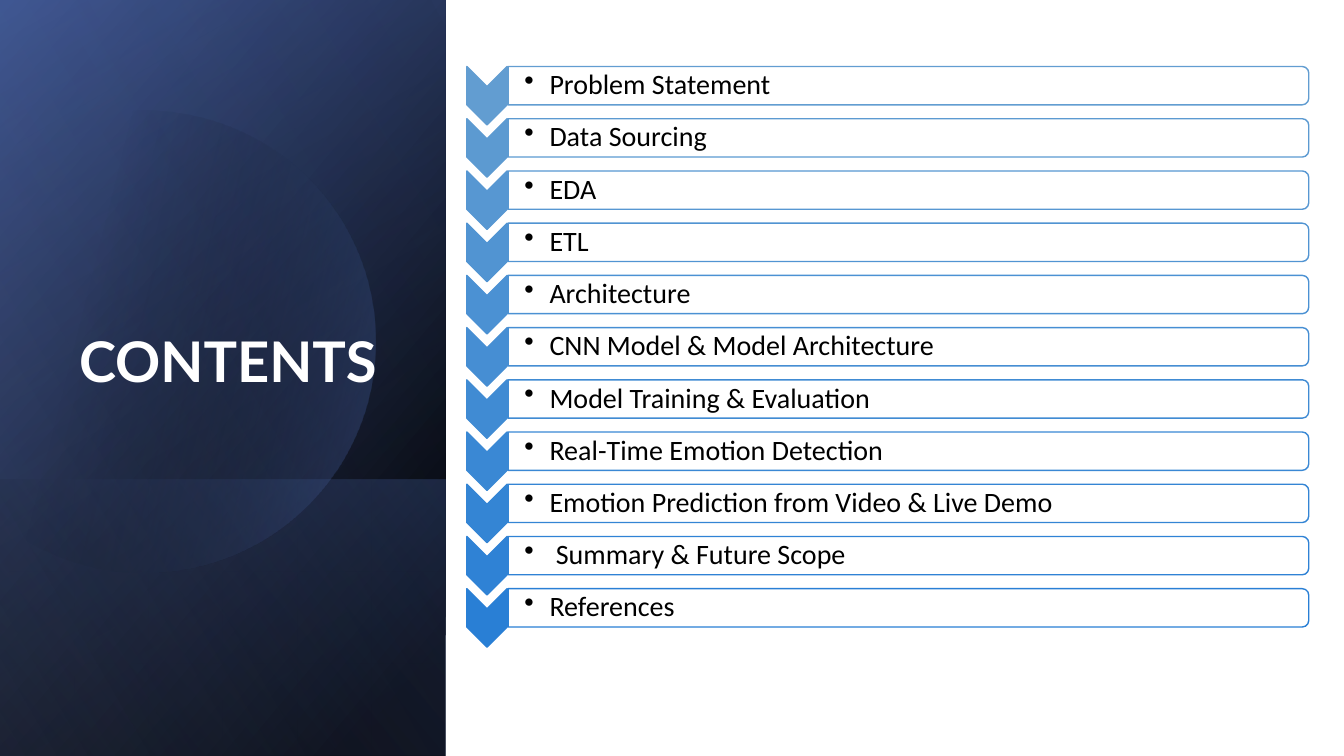
"""Build a contents slide with a dark gradient panel and a chevron list."""
import math

import lxml.etree
import pptx
import pptx.dml.color
import pptx.enum.shapes
import pptx.enum.text
import pptx.oxml.ns
import pptx.util

qn = pptx.oxml.ns.qn
RGB = pptx.dml.color.RGBColor
Inches = pptx.util.Inches
Pt = pptx.util.Pt
MSO = pptx.enum.shapes.MSO_SHAPE
MIDDLE = pptx.enum.text.MSO_ANCHOR.MIDDLE

COLORS = {
    "white": "FFFFFF",
    "black": "000000",
    "navy": "384C81",
    "blue": "4A66AC",
    "pale": "90A2CF",
    "first": "629DD1",
    "last": "297FD5",
}
TOPICS = [
    "Problem Statement",
    "Data Sourcing",
    "EDA",
    "ETL",
    "Architecture",
    "CNN Model & Model Architecture",
    "Model Training & Evaluation",
    "Real-Time Emotion Detection",
    "Emotion Prediction from Video & Live Demo",
    " Summary & Future Scope",
    "References",
]

prs = pptx.Presentation()
W, H = 13.33, 7.5
prs.slide_width, prs.slide_height = Inches(W), Inches(H)
s = prs.slides.add_slide(prs.slide_layouts[6])
s.background.fill.solid()
s.background.fill.fore_color.rgb = RGB.from_string(COLORS["white"])


def add_turned(kind, cx, cy, length, breadth):
    """Add a shape centred on a point and turned a quarter clockwise."""
    sp = s.shapes.add_shape(kind, Inches(cx - length / 2), Inches(cy - breadth / 2),
                            Inches(length), Inches(breadth))
    sp.rotation = 90
    sp.shadow.inherit = False
    return sp


def fill_gradient(sp, angle, stops):
    """Fill with two stops of position, colour name and opacity, all in percent."""
    sp.line.fill.background()
    sp.fill.gradient()
    sp.fill.gradient_angle = 360 - angle
    for stop, (position, name, opacity) in zip(sp.fill.gradient_stops, stops):
        stop.position = position / 100
        stop.color.rgb = RGB.from_string(COLORS[name])
        clr = stop._gs.find(qn("a:srgbClr"))
        lxml.etree.SubElement(clr, qn("a:alpha")).set("val", str(opacity * 1000))


panel_w = 4.42
foot_h = 2.74
panels = [
    (H, 50, [(8, "black", 100), (100, "navy", 100)]),
    (H, 30, [(0, "black", 0), (99, "blue", 46)]),
    (foot_h, 130, [(2, "blue", 29), (100, "black", 30)]),
    ("disc", 14, [(29, "black", 0), (100, "blue", 43)]),
    (H, 120, [(0, "black", 0), (99, "pale", 11)]),
]
disc_x, disc_y, disc_r, disc_cut = 1.43, 3.39, 2.29, -0.15
for height, angle, stops in panels:
    if height == "disc":
        reach = math.acos((disc_cut - disc_x) / disc_r)
        arc = [reach * (i / 60 - 1) for i in range(121)]
        points = [(Inches(disc_x + disc_r * math.cos(a)),
                   Inches(disc_y + disc_r * math.sin(a))) for a in arc]
        fb = s.shapes.build_freeform(*points[0])
        fb.add_line_segments(points[1:], close=True)
        sp = fb.convert_to_shape()
        sp.shadow.inherit = False
    else:
        sp = add_turned(MSO.RECTANGLE, panel_w / 2, H - height / 2, height, panel_w)
        sp._element.spPr.find(qn("a:xfrm")).set("flipH", "1")
    fill_gradient(sp, angle, stops)

sp = s.shapes.add_textbox(Inches(0.51), Inches(2.87), Inches(3.5), Inches(1.48))
tf = sp.text_frame
tf.word_wrap = True
tf.vertical_anchor = MIDDLE
p = tf.paragraphs[0]
p.alignment = pptx.enum.text.PP_ALIGN.CENTER
p.line_spacing = 0.9
r = p.add_run()
r.text = "CONTENTS"
r.font.name, r.font.size, r.font.bold = "Lato", Pt(40), True
r.font.color.rgb = RGB.from_string(COLORS["white"])

top, bottom = 0.85, 6.03
pitch = (bottom - top) / (len(TOPICS) - 1)
chevron_x, chevron_w, chevron_h = 4.63, 0.4, 0.58
bar_x, bar_w, bar_h = 5.04, 7.94, 0.38
text_w, text_h = 7.92, 0.34
first, last = (RGB.from_string(COLORS[name]) for name in ("first", "last"))

for row, topic in enumerate(TOPICS):
    y = top + row * pitch
    share = row / (len(TOPICS) - 1)
    tint = RGB(*(round(a + (b - a) * share) for a, b in zip(first, last)))

    chevron = add_turned(MSO.CHEVRON, chevron_x + chevron_w / 2,
                         y + (chevron_h - bar_h) / 2, chevron_h, chevron_w)
    chevron.fill.solid()
    chevron.fill.fore_color.rgb = tint
    bar = add_turned(MSO.ROUND_2_SAME_RECTANGLE, bar_x + bar_w / 2, y, bar_h, bar_w)
    bar.fill.solid()
    bar.fill.fore_color.rgb = RGB.from_string(COLORS["white"])
    clr = bar._element.spPr.find(qn("a:solidFill")).find(qn("a:srgbClr"))
    lxml.etree.SubElement(clr, qn("a:alpha")).set("val", "90000")
    for sp in (chevron, bar):
        sp.line.color.rgb = tint
        sp.line.width = Pt(1)

    sp = s.shapes.add_textbox(Inches(bar_x), Inches(y - text_h / 2),
                              Inches(text_w), Inches(text_h))
    tf = sp.text_frame
    tf.word_wrap = True
    tf.vertical_anchor = MIDDLE
    tf.margin_left = Inches(0.16)
    tf.margin_top = tf.margin_right = tf.margin_bottom = Inches(0.01)
    p = tf.paragraphs[0]
    p.level = 1
    p.line_spacing = 0.9
    pPr = p._p.get_or_add_pPr()
    pPr.set("marL", str(Inches(0.25)))
    pPr.set("indent", str(-Inches(0.25)))
    lxml.etree.SubElement(pPr, qn("a:buChar")).set("char", "•")
    r = p.add_run()
    r.text = topic
    r.font.name, r.font.size = "Calibri", Pt(20)
    r.font.color.rgb = RGB.from_string(COLORS["black"])

prs.save("out.pptx")
